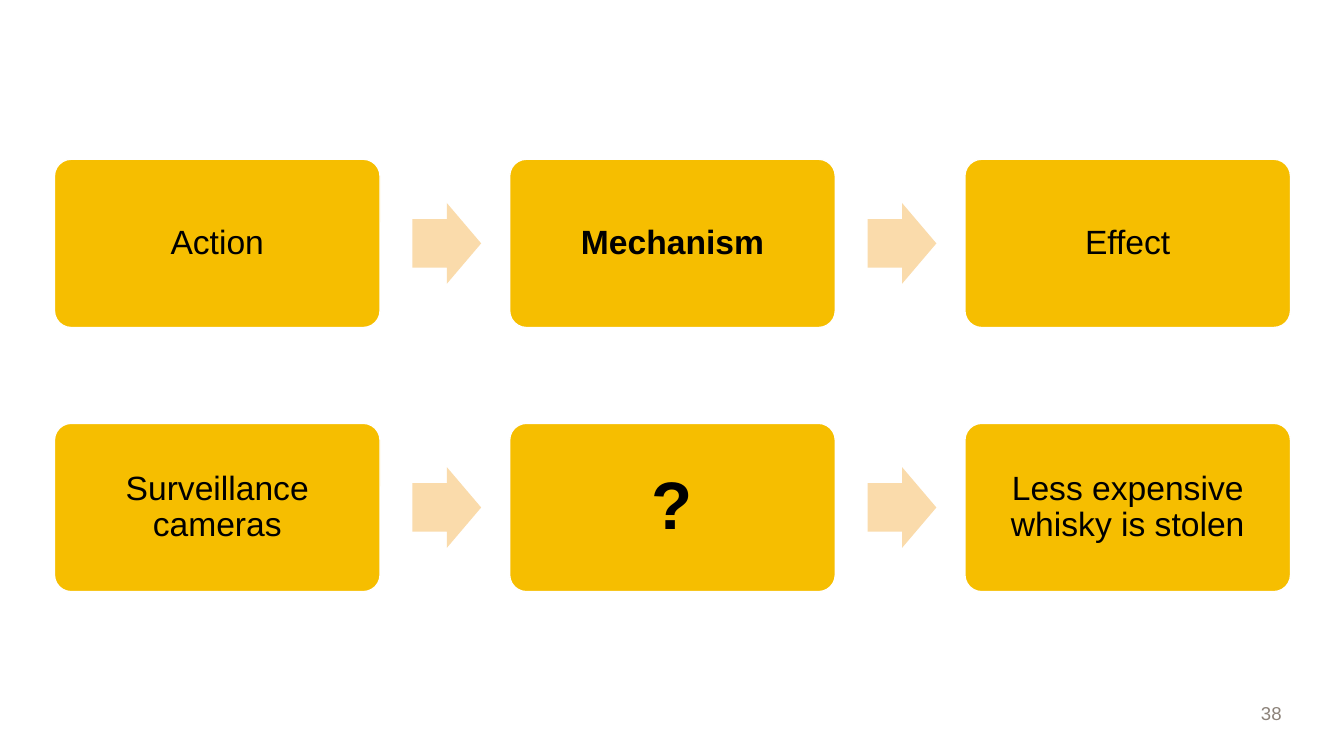
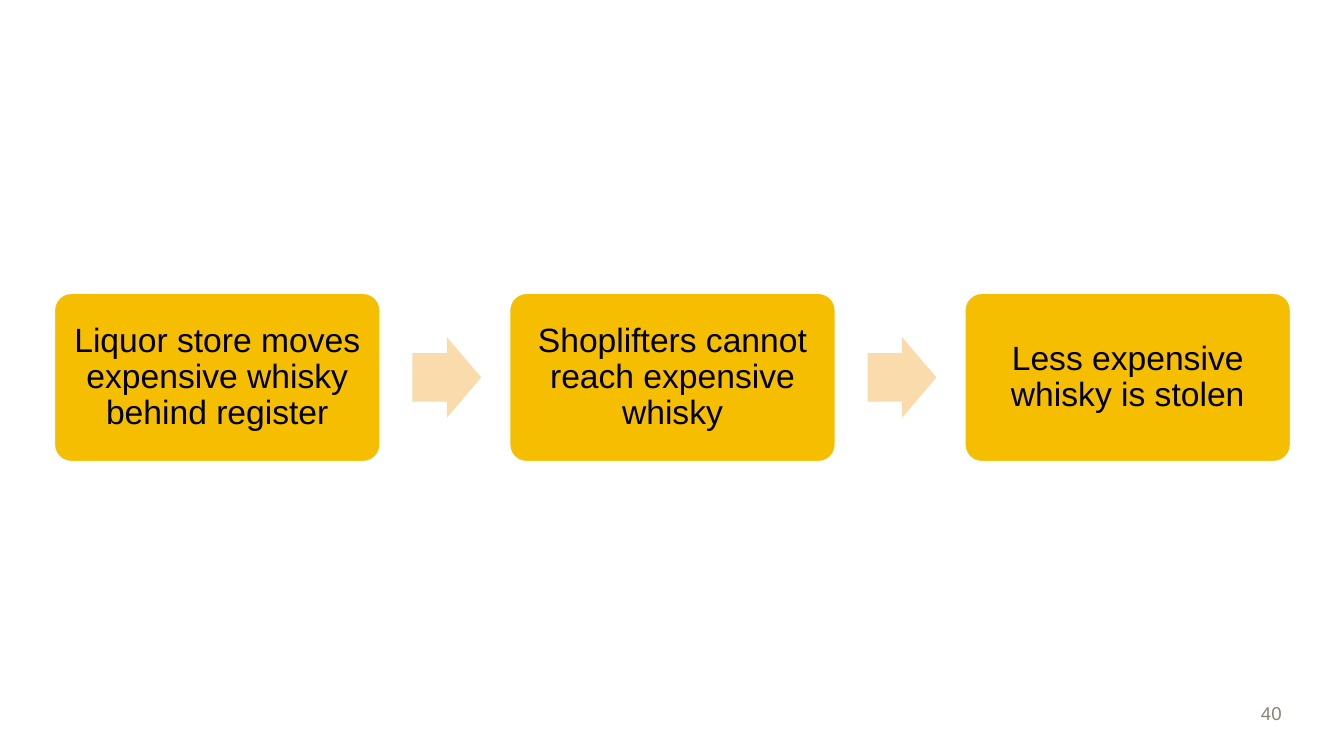
from pptx import Presentation
from pptx.dml.color import RGBColor
from pptx.enum.shapes import MSO_SHAPE
from pptx.enum.text import MSO_ANCHOR, PP_ALIGN
from pptx.util import Inches, Pt

SLIDE_WIDTH, SLIDE_HEIGHT = 13.33, 7.5
COLORS = {"card": "F6BE00", "edge": "FFFFFF", "arrow": "FADBAB", "text": "000000", "number": "8C8279"}
CHAIN_LEFT, CHAIN_WIDTH, CHAIN_HEIGHT = 0.54, 12.26, 1.67
CARD_WIDTH = 3.23
ARROW_START, ARROW_WIDTH, ARROW_HEIGHT = 0.25, 0.53, 0.48
NUMBER_BOX = (11.76, 6.65, 1.05, 0.58)

PLAIN = {"size": Pt(24), "bold": False}
STRONG = {"size": Pt(24), "bold": True}
QUESTION = {"size": Pt(48), "bold": True}
NUMBER = {"size": Pt(13.3), "bold": False}

SLIDES = [
    ("38", [
        (1.58, [("Action", PLAIN), ("Mechanism", STRONG), ("Effect", PLAIN)]),
        (4.2, [("Surveillance cameras", PLAIN), ("?", QUESTION), ("Less expensive whisky is stolen", PLAIN)]),
    ]),
    ("40", [
        (2.91, [
            ("Liquor store moves expensive whisky behind register", PLAIN),
            ("Shoplifters cannot reach expensive whisky", PLAIN),
            ("Less expensive whisky is stolen", PLAIN),
        ]),
    ]),
]


def color(name):
    return RGBColor.from_string(COLORS[name])


def set_attributes(target, values):
    for name, value in values.items():
        setattr(target, name, value)


def write_text(shape, text, font, tint, align, anchor, insets, spacing=1.0):
    frame = shape.text_frame
    sides = ("margin_left", "margin_top", "margin_right", "margin_bottom")
    set_attributes(frame, {side: Inches(inset) for side, inset in zip(sides, insets)})
    set_attributes(frame, {"word_wrap": True, "vertical_anchor": anchor})
    para = frame.paragraphs[0]
    set_attributes(para, {"alignment": align, "line_spacing": spacing})
    span = para.add_run()
    span.text = text
    set_attributes(span.font, {"name": "Arial", **font})
    span.font.color.rgb = color(tint)


def add_block(shapes, preset, box, fill, adjustments):
    block = shapes.add_shape(preset, *map(Inches, box))
    block.shadow.inherit = False
    block.fill.solid()
    block.fill.fore_color.rgb = color(fill)
    block.line.fill.background()
    for index, value in enumerate(adjustments):
        block.adjustments[index] = value
    return block


def add_card(shapes, box, text, font):
    card = add_block(shapes, MSO_SHAPE.ROUNDED_RECTANGLE, box, "card", [0.1])
    card.line.color.rgb = color("edge")
    card.line.width = Pt(1)
    write_text(card, text, font, "text", PP_ALIGN.CENTER, MSO_ANCHOR.MIDDLE, [0.1] * 4, 0.9)


def add_arrow(shapes, gap_box):
    left, top, width, height = gap_box
    box = (left + width * ARROW_START, top + height * (1 - ARROW_HEIGHT) / 2,
           width * ARROW_WIDTH, height * ARROW_HEIGHT)
    add_block(shapes, MSO_SHAPE.RIGHT_ARROW, box, "arrow", [0.6, 0.5])


def add_chain(slide, box, steps):
    left, top, width, height = box
    shapes = slide.shapes.add_group_shape().shapes
    pitch = (width - CARD_WIDTH) / (len(steps) - 1)
    for index, (text, font) in enumerate(steps):
        card_left = left + index * pitch
        if index:
            gap = pitch - CARD_WIDTH
            add_arrow(shapes, (card_left - gap, top, gap, height))
        add_card(shapes, (card_left, top, CARD_WIDTH, height), text, font)


def add_number(slide, box, number):
    label = slide.shapes.add_textbox(*map(Inches, box))
    write_text(label, number, NUMBER, "number", PP_ALIGN.RIGHT, MSO_ANCHOR.BOTTOM, [0.13, 0.05, 0.1, 0.05])


def add_chain_slide(deck, number, chains):
    slide = deck.slides.add_slide(deck.slide_layouts[6])
    add_number(slide, NUMBER_BOX, number)
    for top, steps in chains:
        add_chain(slide, (CHAIN_LEFT, top, CHAIN_WIDTH, CHAIN_HEIGHT), steps)


def main():
    deck = Presentation()
    set_attributes(deck, {"slide_width": Inches(SLIDE_WIDTH), "slide_height": Inches(SLIDE_HEIGHT)})
    for number, chains in SLIDES:
        add_chain_slide(deck, number, chains)
    deck.save("out.pptx")


if __name__ == "__main__":
    main()
